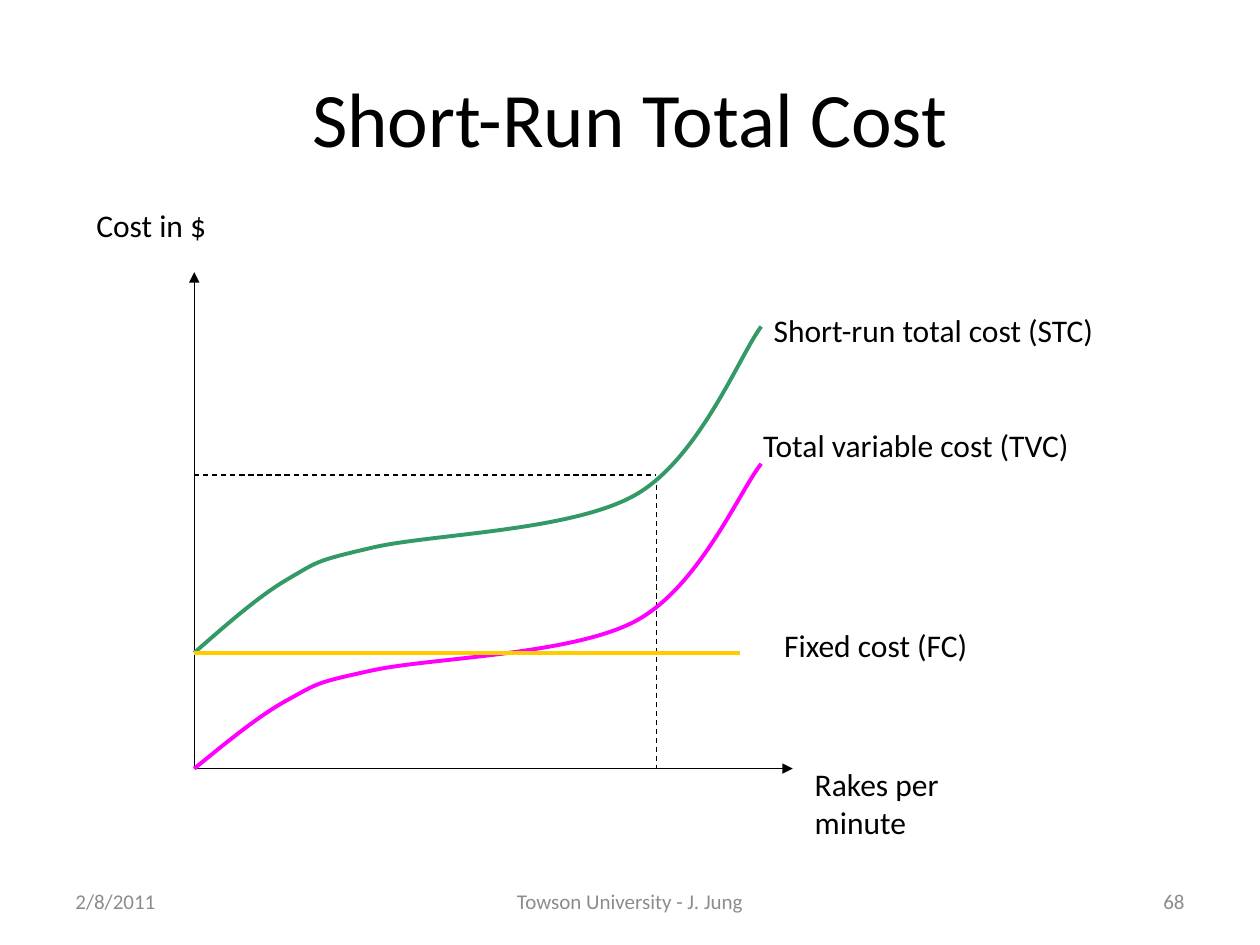
from pptx import Presentation, util as u
from pptx.dml.color import RGBColor
from pptx.enum import dml, shapes, text
from pptx.oxml.ns import qn
from lxml import etree

Pt = u.Pt
COLORS = {"ink": "000000", "footer": "8C8C8C", "tvc": "FF00FF",
          "stc": "339966", "fc": "FFCC00"}
AL = text.PP_ALIGN

# Key positions of the diagram
ORIGIN_X, ORIGIN_Y = 111, 439.2
FIXED_Y = 373
OUTPUT_X, COST_Y = 375, 271.5

# Cost curve: (distance right, rise) for the start and each Bezier point
CURVE = [(0, 0),
         (18.7, 15.1), (36.7, 30.2), (54, 39.6),
         (71.3, 49), (69.1, 49), (102.2, 56.2),
         (135.4, 63.4), (215.3, 64.8), (252, 84.2),
         (288.7, 103.7), (311.8, 159.1), (324, 174.2)]

# Text, left, top, width, height
LABELS = [("Rakes per minute", 458.5, 433.5, 102, 50.4),
          ("Cost in $", 48, 114, 108, 29),
          ("Short-run total cost (STC)", 435, 174, 228, 29),
          ("Total variable cost (TVC)", 429, 240, 234, 29),
          ("Fixed cost (FC)", 441, 354, 144, 29)]
# Text, left, width, alignment
FOOTERS = [("2/8/2011", 36, 168, AL.LEFT),
           ("Towson University - J. Jung", 246, 228, AL.CENTER),
           ("68", 516, 168, AL.RIGHT)]


def rgb(name):
    return RGBColor.from_string(COLORS[name])


def write(sp, content, size, color, align, anchor):
    """Put one formatted paragraph into a shape."""
    tf = sp.text_frame
    for key, value in {"word_wrap": True, "vertical_anchor": anchor}.items():
        setattr(tf, key, value)
    p = tf.paragraphs[0]
    p.alignment = align
    r = p.add_run()
    r.text = content
    for key, value in {"name": "Calibri", "size": Pt(size)}.items():
        setattr(r.font, key, value)
    r.font.color.rgb = rgb(color)


def add_text(s, content, box, size=18, color="ink", align=AL.LEFT,
             anchor=text.MSO_ANCHOR.TOP):
    sp = s.shapes.add_textbox(*map(Pt, box))
    write(sp, content, size, color, align, anchor)


def add_line(s, start, end, color="ink", width=0.75, dash=None, arrow=False):
    sp = s.shapes.add_connector(shapes.MSO_CONNECTOR.STRAIGHT,
                                *map(Pt, start + end))
    sp.line.color.rgb = rgb(color)
    sp.line.width = Pt(width)
    if dash:
        sp.line.dash_style = dash
    sp_pr = sp._element.spPr
    if arrow:
        etree.SubElement(sp_pr.find(qn("a:ln")), qn("a:tailEnd"),
                         type="triangle")
    etree.SubElement(sp_pr, qn("a:effectLst"))


def add_curve(s, start_y, stretch, color):
    pts = [(Pt(ORIGIN_X + dx), Pt(start_y - rise * stretch))
           for dx, rise in CURVE]
    fb = s.shapes.build_freeform(*pts[0], scale=1.0)
    fb.add_line_segments(pts[1:], close=False)
    sp = fb.convert_to_shape()
    # Turn each three line segments into one cubic Bezier segment
    lines = list(sp._element.iter(qn("a:lnTo")))
    for i in range(0, len(lines), 3):
        cubic = etree.Element(qn("a:cubicBezTo"))
        lines[i].addprevious(cubic)
        for line in lines[i:i + 3]:
            cubic.append(line[0])
            line.getparent().remove(line)
    sp.shadow.inherit = False
    sp.fill.background()
    sp.line.color.rgb = rgb(color)
    sp.line.width = Pt(2.25)


def set_title(s, content):
    sp = s.shapes.title
    for key, value in zip(("left", "top", "width", "height"),
                          (36, 21.6, 648, 90)):
        setattr(sp, key, Pt(value))
    write(sp, content, 44, "ink", AL.CENTER, text.MSO_ANCHOR.MIDDLE)


def main():
    prs = Presentation()
    prs.slide_width, prs.slide_height = Pt(720), Pt(540)
    s = prs.slides.add_slide(prs.slide_layouts[5])
    set_title(s, "Short-Run Total Cost")

    # Footer
    for content, left, width, align in FOOTERS:
        add_text(s, content, (left, 500.5, width, 28.75), 12, "footer", align,
                 text.MSO_ANCHOR.MIDDLE)

    # Axes
    origin = (ORIGIN_X, ORIGIN_Y)
    for end in ((ORIGIN_X, 155.5), (453, ORIGIN_Y)):
        add_line(s, origin, end, arrow=True)

    # Guides to the chosen output
    dash = dml.MSO_LINE.DASH
    add_line(s, (ORIGIN_X, COST_Y), (OUTPUT_X, COST_Y), dash=dash)
    add_line(s, (OUTPUT_X, 277.2), (OUTPUT_X, ORIGIN_Y), dash=dash)

    # Cost curves and fixed cost
    add_curve(s, ORIGIN_Y, 1, "tvc")
    add_curve(s, FIXED_Y, 1.07, "stc")
    add_line(s, (ORIGIN_X, FIXED_Y), (423, FIXED_Y), "fc", 2.25)

    # Labels
    for content, *box in LABELS:
        add_text(s, content, box)

    prs.save("out.pptx")


if __name__ == "__main__":
    main()
